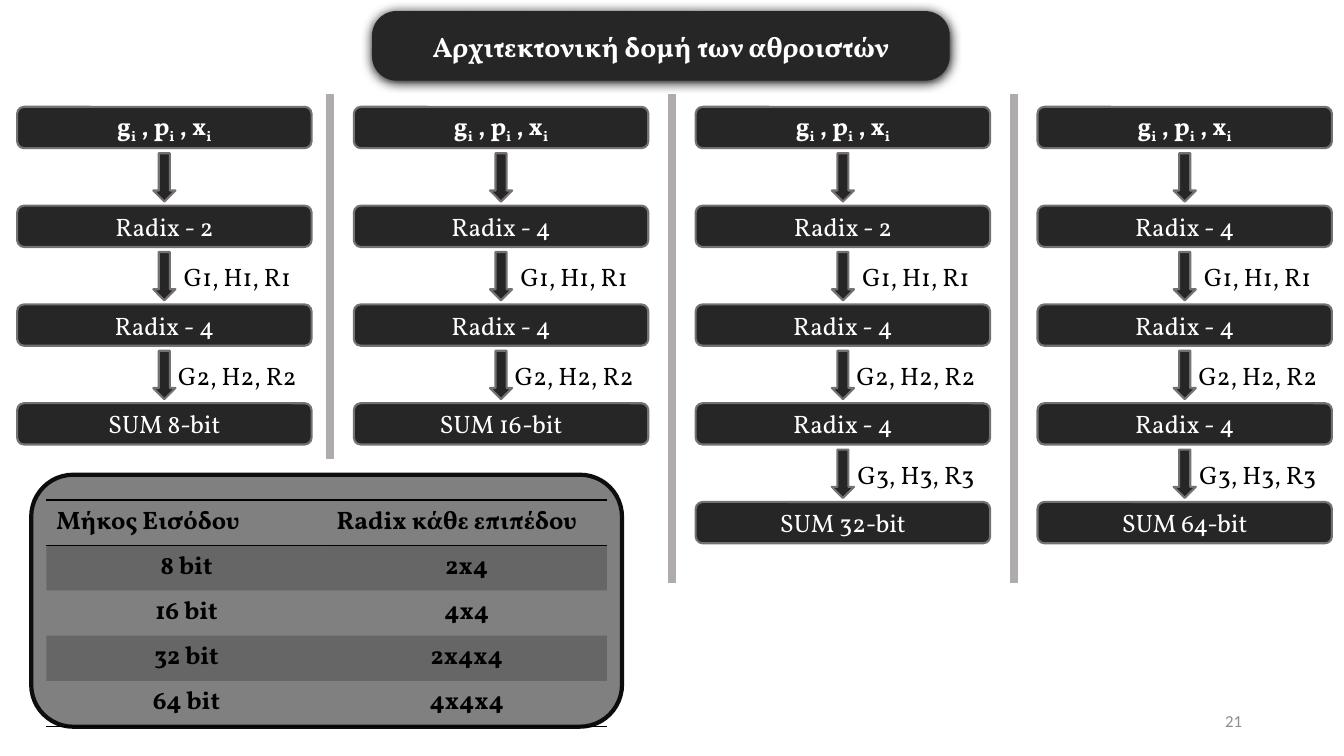
from lxml.etree import SubElement as Sub
from pptx import Presentation
from pptx.dml.color import RGBColor as RGB
from pptx.enum.shapes import MSO_SHAPE as Shape
from pptx.enum.text import MSO_ANCHOR as Anchor, PP_ALIGN as Align
from pptx.oxml.ns import qn
from pptx.util import Inches, Pt

HEX = {"dark": "262626", "edge": "767171", "bar": "AFABAB", "panel": "808080",
       "rim": "0D0D0D", "black": "000000", "white": "FFFFFF", "page": "8C8C8C"}
PITCH, HIGH, WIDE = 0.98, 0.41, 2.92      # row step, box height, box width
TOP = 1.06
PLAIN = "{2D5ABB26-0587-4C30-8999-92F81FD0307C}"   # table style without grid
FLOWS = [(0.17, ["Radix - 2", "Radix - 4", "SUM 8-bit"]),
         (3.51, ["Radix - 4", "Radix - 4", "SUM 16-bit"]),
         (6.9, ["Radix - 2", "Radix - 4", "Radix - 4", "SUM 32-bit"]),
         (10.29, ["Radix - 4", "Radix - 4", "Radix - 4", "SUM 64-bit"])]
ROWS = [("Μήκος Εισόδου", "Radix κάθε επιπέδου"), ("8 bit", "2x4"),
        ("16 bit", "4x4"), ("32 bit", "2x4x4"), ("64 bit", "4x4x4")]


def rgb(name):
    return RGB.from_string(HEX[name])


def write(frame, parts, color="white", align=Align.CENTER, **look):
    """Fill a text frame with (text, baseline) runs in one paragraph."""
    frame.word_wrap = True
    frame.vertical_anchor = Anchor.MIDDLE
    para = frame.paragraphs[0]
    para.alignment = align
    for text, base in parts:
        run = para.add_run()
        run.text = text
        for key, value in ({"name": "Vollkorn", "size": Pt(18)} | look).items():
            setattr(run.font, key, value)
        run.font.color.rgb = rgb(color)
        if base:
            run._r.get_or_add_rPr().set("baseline", str(base))


def draw(slide, kind, box, fill, line=None, width=1.5):
    shape = slide.shapes.add_shape(kind, *map(Inches, box))
    shape.shadow.inherit = False
    shape.fill.solid()
    shape.fill.fore_color.rgb = rgb(fill)
    if line:
        shape.line.color.rgb = rgb(line)
        shape.line.width = Pt(width)
    else:
        shape.line.fill.background()
    return shape


def label(slide, box, text, color, **look):
    frame = slide.shapes.add_textbox(*map(Inches, box)).text_frame
    frame.margin_left = frame.margin_right = 0
    write(frame, [(text, 0)], color, **look)


def title(slide, box):
    shape = draw(slide, Shape.ROUNDED_RECTANGLE, box, "dark")
    shape.adjustments[0] = 0.353
    glow = Sub(shape._element.spPr.find(qn("a:effectLst")), qn("a:outerShdw"),
               blurRad=str(Pt(8.5)), dist=str(Pt(1)), dir="5400000")
    Sub(glow, qn("a:srgbClr"), val=HEX["black"])
    write(shape.text_frame, [("Αρχιτεκτονική δομή των αθροιστών", 0)],
          size=Pt(20), bold=True)


def flow(slide, left, top, steps):
    """Stack one adder's boxes with arrows and signal names between them."""
    for row, step in enumerate([None] + steps):
        y = top + row * PITCH
        box = draw(slide, Shape.ROUNDED_RECTANGLE, (left, y, WIDE, HIGH), "dark", "edge")
        if step:
            write(box.text_frame, [(step, 0)])
        else:
            parts = [part for name in ("g", " , p", " , x")
                     for part in ((name, 0), ("i", -25000))]
            write(box.text_frame, parts, bold=True)
        if row < len(steps):
            draw(slide, Shape.DOWN_ARROW, (left + 1.35, y + 0.46, 0.22, 0.48),
                 "dark", "edge")
        if 0 < row < len(steps):
            label(slide, (left + 1.48, y + 0.53, 1.46, 0.35),
                  f"G{row}, H{row}, R{row} ", "black")


def rule(cell, side):
    """Insert a black border line at the top (lnT) or bottom (lnB) of a cell."""
    props = cell._tc.get_or_add_tcPr()
    line = Sub(props, qn(f"a:{side}"), w=str(Pt(1)))
    Sub(Sub(line, qn("a:solidFill")), qn("a:srgbClr"), val=HEX["black"])
    props.insert(0, line)


def summary(slide, box):
    x, y, w, h = box
    draw(slide, Shape.ROUNDED_RECTANGLE, box, "panel", "rim", 3)
    grid = slide.shapes.add_table(len(ROWS), 2, *map(
        Inches, (x + 0.15, y + 0.25, w - 0.3, HIGH * len(ROWS)))).table
    grid.first_row = grid.horz_banding = False
    grid._tbl.tblPr.find(qn("a:tableStyleId")).text = PLAIN
    last = len(ROWS) - 1
    for r, texts in enumerate(ROWS):
        grid.rows[r].height = Inches(HIGH)
        for c, text in enumerate(texts):
            cell = grid.cell(r, c)
            write(cell.text_frame, [(text, 0)], "black",
                  Align.CENTER if r else Align.LEFT, bold=True)
            cell.vertical_anchor = Anchor.TOP
            if r % 2:
                cell.fill.solid()
                cell.fill.fore_color.rgb = rgb("black")
                tint = cell._tc.tcPr.find(".//" + qn("a:srgbClr"))
                Sub(tint, qn("a:alpha"), val="20000")
            else:
                cell.fill.background()
            if r in (0, last):
                rule(cell, "lnB")
            if r == 0:
                rule(cell, "lnT")


def main():
    deck = Presentation()
    deck.slide_width, deck.slide_height = Inches(13.33), Inches(7.5)
    slide = deck.slides.add_slide(deck.slide_layouts[6])
    summary(slide, (0.31, 4.71, 5.86, 2.5))
    title(slide, (3.69, 0.11, 5.73, 0.69))
    label(slide, (9.32, 6.95, 3, 0.4), "21", "page", align=Align.RIGHT,
          name="Calibri", size=Pt(12))
    for col, (left, steps) in enumerate(FLOWS):
        if col:
            tall = 3.61 if col == 1 else 4.84
            draw(slide, Shape.RECTANGLE, (left - 0.27, 0.94, 0.07, tall), "bar", "bar", 1)
        flow(slide, left, TOP, steps)
    deck.save("out.pptx")


if __name__ == "__main__":
    main()
